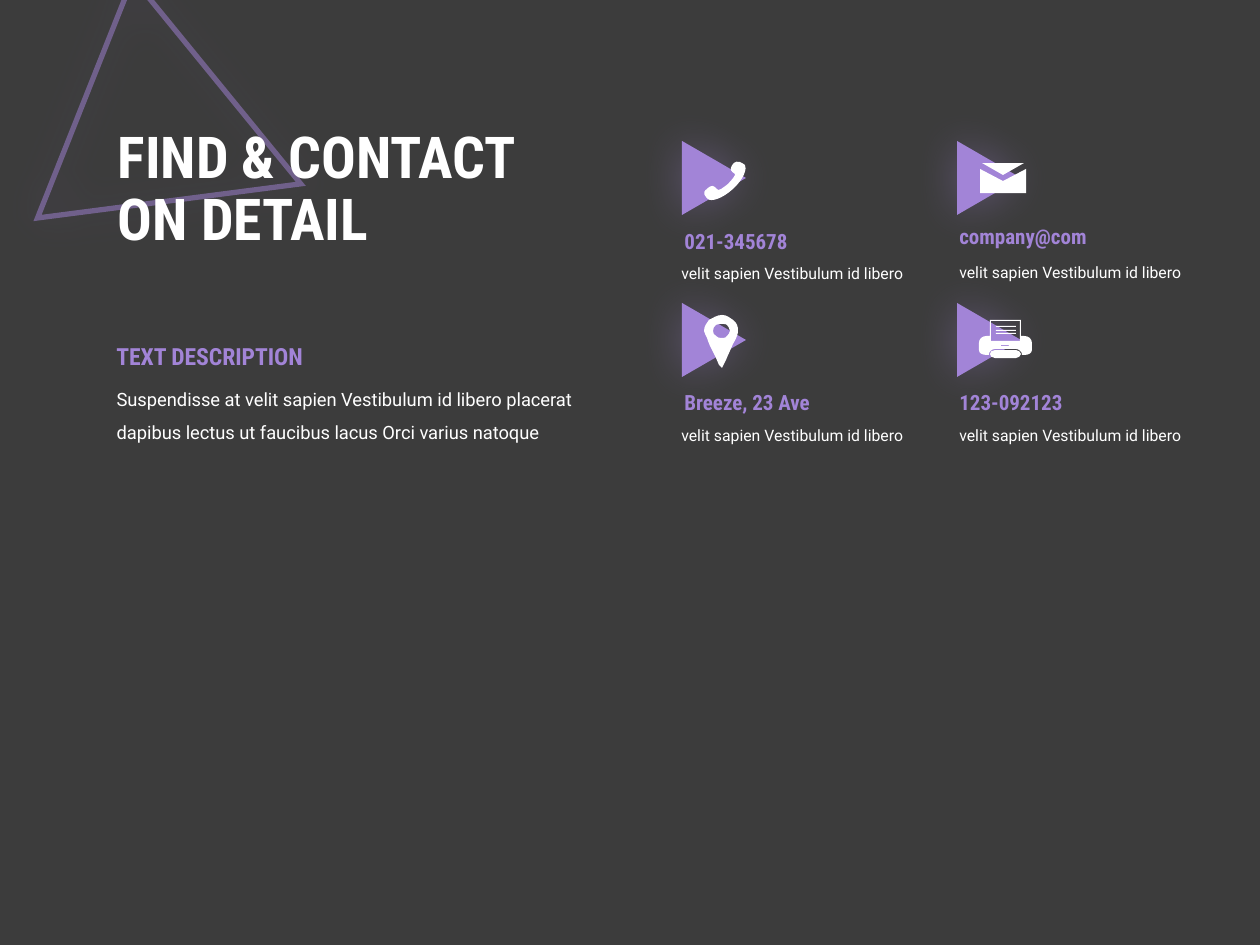
from dataclasses import dataclass

from lxml import etree
from pptx import Presentation
from pptx import util as u
from pptx.dml.color import RGBColor
from pptx.enum import shapes, text
from pptx.oxml import ns

PX = 914400 / 126


@dataclass(frozen=True)
class Theme:
    background: str = "3C3C3C"
    accent: str = "A284D7"
    light: str = "FFFFFF"
    display: str = "Roboto Condensed"
    running: str = "Roboto"
    title_size: float = 33
    section_size: float = 13.5
    body_size: float = 10.5
    heading_size: float = 12
    note_size: float = 9


THEME = Theme()

# Text styles: font size, typeface, colour, bold, line spacing
TITLE = (THEME.title_size, THEME.display, THEME.light, True, 0.9)
SECTION = (THEME.section_size, THEME.display, THEME.accent, True, 1.0)
BODY = (THEME.body_size, THEME.running, THEME.light, False, 1.5)
HEADING = (THEME.heading_size, THEME.display, THEME.accent, True, 1.0)
NOTE = (THEME.note_size, THEME.running, THEME.light, False, 1.5)

# A contour is a list of steps in px: two numbers for a line, six for a curve
PHONE = [[
    (735, 174), (731, 171, 729, 170, 733, 164), (738, 159, 742, 163, 745, 165),
    (747, 168, 745, 178, 733, 189), (722, 199, 711, 202, 708, 199),
    (706, 197, 701, 193, 707, 189), (712, 184, 714, 186, 717, 189),
    (718, 192, 723, 188, 728, 184), (732, 180, 736, 175, 735, 174),
]]
ENVELOPE = [
    [(1003, 181), (1026, 169), (1026, 193), (980, 193), (980, 169)],
    [(1024, 163), (1003, 175), (982, 163)],
]
PIN = [
    [(709, 320), (713, 318, 717, 315, 722, 315), (727, 315, 730, 318, 733, 320),
     (737, 323, 738, 326, 738, 331), (738, 333, 737, 338, 733, 344),
     (731, 349, 728, 355, 726, 360), (722, 368), (719, 365), (716, 358),
     (714, 354, 712, 350, 711, 348), (709, 344, 708, 341, 707, 338),
     (706, 335, 704, 333, 704, 331), (704, 326, 707, 323, 709, 320)],
    [(716, 336), (718, 338, 719, 338, 722, 338), (725, 338, 726, 338, 727, 336),
     (728, 335, 730, 333, 730, 331), (730, 329, 728, 326, 727, 325),
     (726, 324, 725, 324, 722, 324), (719, 324, 718, 324, 716, 325),
     (714, 326, 713, 329, 713, 331), (713, 333, 714, 335, 716, 336)],
]


def rectangle(left, top, right, bottom):
    return [(left, top), (right, top), (right, bottom), (left, bottom)]


PRINTER_TRAY = [[
    (1016, 350), (995, 350), (992, 350, 990, 352, 990, 354),
    (990, 356, 992, 358, 995, 358), (1016, 358),
    (1018, 358, 1021, 356, 1021, 354), (1021, 352, 1018, 350, 1016, 350),
]]
PRINTER_BODY = [
    [(1024, 336), (1021, 336), (1021, 320), (990, 320), (990, 336), (987, 336),
     (982, 336, 979, 339, 979, 343), (979, 350), (979, 353, 982, 355, 987, 355),
     (989, 355), (989, 354), (989, 352, 992, 349, 995, 349), (1016, 349),
     (1019, 349, 1022, 352, 1022, 354), (1022, 355), (1024, 355),
     (1029, 355, 1032, 353, 1032, 350), (1032, 343),
     (1032, 339, 1029, 336, 1024, 336)],
    rectangle(991, 321, 1020, 341),
    rectangle(1001, 345, 1009, 346),
]
PRINTED_LINES = [[rectangle(996, top, 1016, top + 1)] for top in (326, 330, 333)]
PRINTER = [PRINTER_TRAY, PRINTER_BODY, *PRINTED_LINES]

GRID_LEFT, GRID_TOP, COLUMN_STEP, ROW_STEP = 677, 146, 275, 162
NOTE_TEXT = "velit sapien Vestibulum id libero"
# Column, row, heading, heading offset, note offset, icon parts
CONTACTS = [
    (0, 0, "021-345678", (-5, 76), (-8, 102), [PHONE]),
    (1, 0, "company@com", (-5, 71), (-5, 101), [ENVELOPE]),
    (0, 1, "Breeze, 23 Ave", (-5, 75), (-8, 102), [PIN]),
    (1, 1, "123-092123", (-5, 75), (-5, 102), PRINTER),
]


def px(*lengths):
    return [u.Emu(round(length * PX)) for length in lengths]


def color(value):
    return RGBColor.from_string(value)


def set_alpha(solid_fill, percent):
    alpha = etree.SubElement(solid_fill[0], ns.qn("a:alpha"))
    alpha.set("val", str(percent * 1000))


def add_glow(shape):
    """Give the shape a soft shadow in the accent colour, without offset."""
    effects = etree.SubElement(shape.element.spPr, ns.qn("a:effectLst"))
    shadow = etree.SubElement(effects, ns.qn("a:outerShdw"),
                              blurRad=str(u.Pt(25)), dist="0", dir="0",
                              algn="ctr", rotWithShape="0")
    etree.SubElement(shadow, ns.qn("a:srgbClr"), val=THEME.accent)
    set_alpha(shadow, 35)


def add_triangle(page, frame, rotation, outlined=False):
    triangle = page.shapes.add_shape(
        shapes.MSO_SHAPE.ISOSCELES_TRIANGLE, *px(*frame))
    triangle.rotation = rotation
    if outlined:
        triangle.fill.background()
        triangle.line.width = u.Pt(3)
        triangle.line.color.rgb = color(THEME.accent)
        line = triangle.element.spPr.find(ns.qn("a:ln"))
        set_alpha(line[0], 50)
        etree.SubElement(line, ns.qn("a:miter"), lim="800000")
    else:
        triangle.fill.solid()
        triangle.fill.fore_color.rgb = color(THEME.accent)
        triangle.line.fill.background()
    add_glow(triangle)


def write(box, frame, content, style):
    """Place a text box or placeholder and fill it with one styled paragraph."""
    size, typeface, ink, bold, spacing = style
    box.left, box.top, box.width, box.height = px(*frame)
    box.text_frame.word_wrap = True
    box.text_frame.auto_size = text.MSO_AUTO_SIZE.NONE
    para = box.text_frame.paragraphs[0]
    para.text = content
    layout = {"alignment": text.PP_ALIGN.LEFT, "line_spacing": spacing,
              "space_before": u.Pt(0)}
    for name, value in layout.items():
        setattr(para, name, value)
    for span in para.runs:
        for name, value in {"size": u.Pt(size), "name": typeface, "bold": bold}.items():
            setattr(span.font, name, value)
        span.font.color.rgb = color(ink)


def add_text(page, frame, content, style):
    write(page.shapes.add_textbox(0, 0, 0, 0), frame, content, style)


def bend_segments(outline, steps):
    """Turn the straight segments of six-number steps into Bézier curves."""
    segments = list(outline.element.spPr.iter(ns.qn("a:lnTo")))
    for segment, step in zip(segments, steps):
        if len(step) == 2:
            continue
        curve = etree.Element(ns.qn("a:cubicBezTo"))
        for x, y in zip(px(*step[::2]), px(*step[1::2])):
            etree.SubElement(curve, ns.qn("a:pt"),
                             x=str(x - outline.left), y=str(y - outline.top))
        segment.getparent().replace(segment, curve)


def add_outline(container, contours):
    builder = container.build_freeform(*px(*contours[0][0]))
    for index, contour in enumerate(contours):
        if index:
            builder.move_to(*px(*contour[0]))
        builder.add_line_segments([px(*step[-2:]) for step in contour[1:]],
                                  close=False)
        builder.add_line_segments([px(*contour[0])], close=True)
    outline = builder.convert_to_shape()
    # Each contour ends with one straight segment back to its start
    bend_segments(outline, [step for contour in contours
                            for step in [*contour[1:], contour[0]]])
    outline.shadow.inherit = False
    outline.fill.solid()
    outline.fill.fore_color.rgb = color(THEME.light)
    outline.line.fill.background()


def add_icon(page, parts):
    container = page.shapes
    if len(parts) > 1:
        container = page.shapes.add_group_shape().shapes
    for contours in parts:
        add_outline(container, contours)


def add_contact(page, column, row, heading, heading_at, note_at, icon):
    left, top = GRID_LEFT + column * COLUMN_STEP, GRID_TOP + row * ROW_STEP
    add_triangle(page, (left, top, 74, 64), 90)
    add_icon(page, icon)
    for (dx, dy), width, content, style in ((heading_at, 180, heading, HEADING),
                                            (note_at, 251, NOTE_TEXT, NOTE)):
        add_text(page, (left + dx, top + dy, width, 38), content, style)


def main():
    deck = Presentation()
    deck.slide_width, deck.slide_height = px(1260, 945)
    page = deck.slides.add_slide(deck.slide_layouts[0])
    page.background.fill.solid()
    page.background.fill.fore_color.rgb = color(THEME.background)

    title, description = page.placeholders
    add_triangle(page, (64, 25, 258, 232), 111.7, outlined=True)
    page.shapes.element.insert(2, page.shapes[-1].element)
    write(title, (105, 91, 532, 199), "FIND & CONTACT\nON DETAIL", TITLE)
    title.text_frame.vertical_anchor = text.MSO_ANCHOR.MIDDLE
    write(description, (104, 371, 485, 76),
          "Suspendisse at velit sapien Vestibulum id libero placerat "
          "dapibus lectus ut faucibus lacus Orci varius natoque", BODY)
    add_text(page, (104, 336, 232, 42), "TEXT DESCRIPTION", SECTION)
    for contact in CONTACTS:
        add_contact(page, *contact)
    deck.save("out.pptx")


if __name__ == "__main__":
    main()
